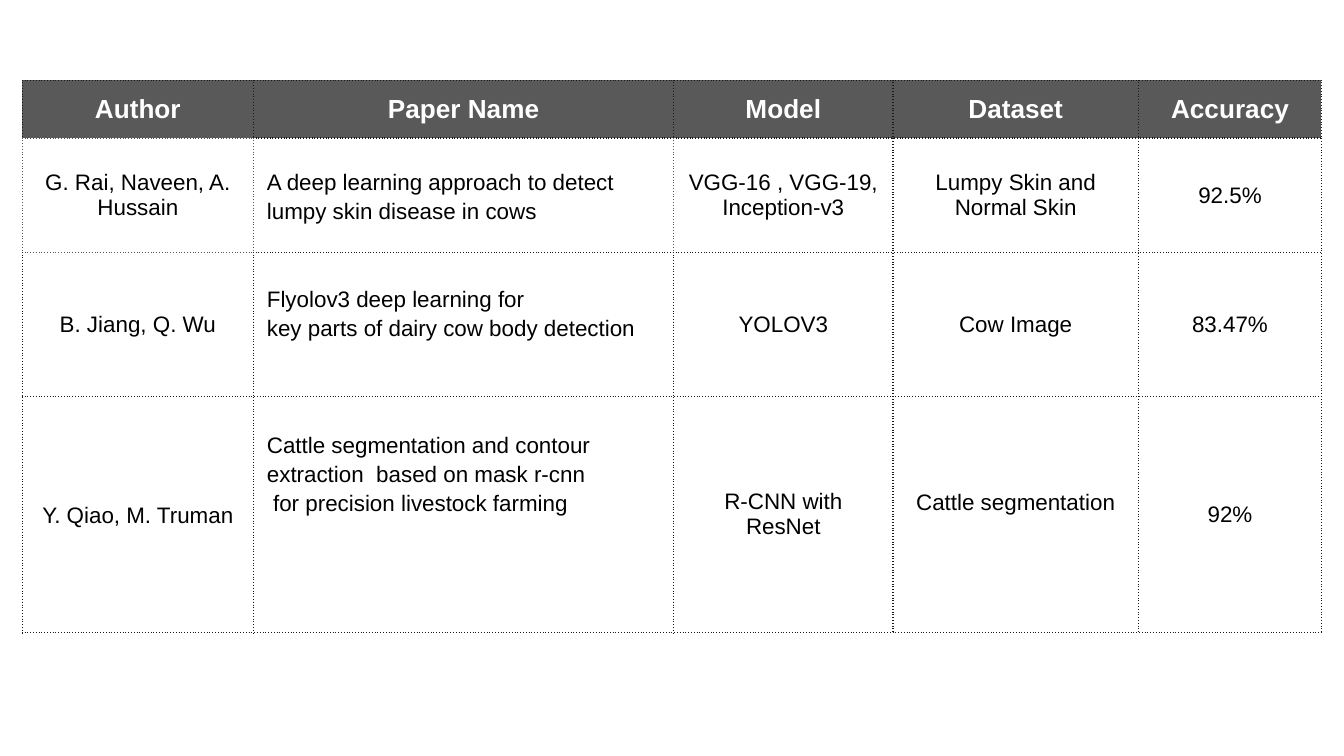
from lxml import etree
from pptx import Presentation
from pptx.dml import color
from pptx.enum import text
from pptx.oxml import ns
from pptx.util import Pt

COLORS = {"header": "595959", "edge": "1A1A1A", "soft edge": "595959",
          "header text": "FFFFFF", "body text": "000000", "white": "FFFFFF"}
COLUMN_WIDTHS = [123.8, 225.2, 117.4, 131.6, 98]
ROW_HEIGHTS = [31, 61.2, 77.1, 126.4]
MARGIN = 7.2
PAPER_COLUMN = 1
ROWS = [
    ["Author", "Paper Name", "Model", "Dataset", "Accuracy"],
    ["G. Rai, Naveen, A. Hussain",
     "A deep learning approach to detect lumpy skin disease in cows",
     "VGG-16 , VGG-19,\nInception-v3", "Lumpy Skin and Normal Skin", "92.5%"],
    ["B. Jiang, Q. Wu",
     "Flyolov3 deep learning for\nkey parts of dairy cow body detection",
     "YOLOV3", "Cow Image", "83.47%"],
    ["Y. Qiao, M. Truman",
     "Cattle segmentation and contour\nextraction  based on mask r-cnn\n"
     " for precision livestock farming",
     "R-CNN with ResNet", "Cattle segmentation", "92%"],
]
# Cells, as (row, column), that differ from the rest of the grid
LOOSE_CELLS = {(1, 1), (2, 1), (3, 0), (3, 1), (3, 3)}
BOTTOM_MARGINS = {(2, 1): 20.4, (3, 1): 51.2, (3, 3): 21.2}
WHITE_CELLS = {(3, 3)}
SOFT_EDGES = {(1, 0): "LRTB", (1, 1): "LR", (1, 2): "L", (2, 0): "T",
              **{(0, column): "B" for column in range(len(COLUMN_WIDTHS))}}


def rgb(name):
    return color.RGBColor.from_string(COLORS[name])


def draw_borders(cell, soft_sides):
    properties = cell._tc.get_or_add_tcPr()
    for side in "LRTB":
        line = etree.SubElement(properties, ns.qn(f"a:ln{side}"), w=str(Pt(0.75)))
        fill = etree.SubElement(line, ns.qn("a:solidFill"))
        name = "soft edge" if side in soft_sides else "edge"
        etree.SubElement(fill, ns.qn("a:srgbClr"), val=COLORS[name])
        etree.SubElement(line, ns.qn("a:prstDash"), val="dot")


def fill_cell(cell, place, wording):
    row, column = place
    header = row == 0
    draw_borders(cell, SOFT_EDGES.get(place, ""))
    if header or place in WHITE_CELLS:
        cell.fill.solid()
        cell.fill.fore_color.rgb = rgb("header" if header else "white")
    else:
        cell.fill.background()
    cell.margin_left = cell.margin_right = cell.margin_top = Pt(MARGIN)
    cell.margin_bottom = Pt(BOTTOM_MARGINS.get(place, MARGIN))
    cell.vertical_anchor = text.MSO_ANCHOR.MIDDLE
    cell.text_frame.text = wording
    left = column == PAPER_COLUMN and not header
    for para in cell.text_frame.paragraphs:
        para.alignment = text.PP_ALIGN.LEFT if left else text.PP_ALIGN.CENTER
        if place in LOOSE_CELLS:
            para.line_spacing = 1.15
        for span in para.runs:
            span.font.name = "Arial"
            span.font.size = Pt(14 if header else 12)
            span.font.bold = header
            span.font.color.rgb = rgb("header text" if header else "body text")


def add_paper_table(page, left, top, width, height):
    frame = page.shapes.add_table(len(ROWS), len(COLUMN_WIDTHS),
                                  Pt(left), Pt(top), Pt(width), Pt(height))
    table = frame.table
    table.first_row = table.horz_banding = False
    for column, share in zip(table.columns, COLUMN_WIDTHS):
        column.width = Pt(width * share / sum(COLUMN_WIDTHS))
    for row, share in zip(table.rows, ROW_HEIGHTS):
        row.height = Pt(height * share / sum(ROW_HEIGHTS))
    for row, wordings in enumerate(ROWS):
        for column, wording in enumerate(wordings):
            fill_cell(table.cell(row, column), (row, column), wording)


def main():
    deck = Presentation()
    deck.slide_width, deck.slide_height = Pt(720), Pt(405)
    page = deck.slides.add_slide(deck.slide_layouts[6])
    add_paper_table(page, 12, 43, sum(COLUMN_WIDTHS), sum(ROW_HEIGHTS))
    deck.save("out.pptx")


if __name__ == "__main__":
    main()
